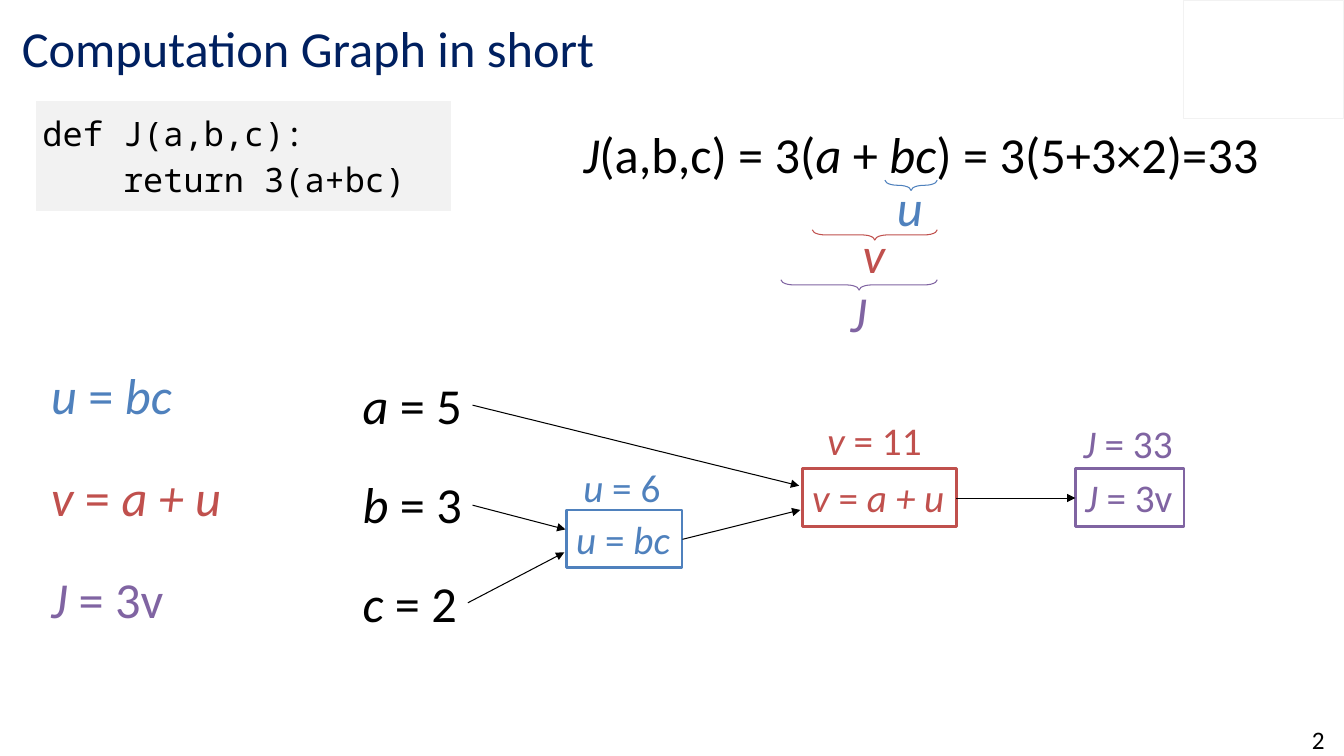
from lxml import etree
from pptx import Presentation
from pptx.dml.color import RGBColor
from pptx.enum.shapes import MSO_CONNECTOR, MSO_SHAPE
from pptx.enum.text import MSO_ANCHOR, PP_ALIGN
from pptx.oxml.ns import qn
from pptx.util import Cm, Pt

RECTANGLE = MSO_SHAPE.RECTANGLE
RIGHT_BRACE = MSO_SHAPE.RIGHT_BRACE
STRAIGHT = MSO_CONNECTOR.STRAIGHT
TOP, MIDDLE = MSO_ANCHOR.TOP, MSO_ANCHOR.MIDDLE
LEFT, CENTER = PP_ALIGN.LEFT, PP_ALIGN.CENTER

BLACK = RGBColor(0x00, 0x00, 0x00)
WHITE = RGBColor(0xFF, 0xFF, 0xFF)
NAVY = RGBColor(0x00, 0x20, 0x60)
LIGHT_GREY = RGBColor(0xF2, 0xF2, 0xF2)
BLUE = RGBColor(0x4F, 0x81, 0xBD)
RED = RGBColor(0xC0, 0x50, 0x4D)
PURPLE = RGBColor(0x80, 0x64, 0xA2)

BODY_FONT = "Calibri"
CODE_FONT = "Noto Sans Mono"
LARGE, MEDIUM = 36, 28
LARGE_HEIGHT, MEDIUM_HEIGHT = 1.8, 1.45
BRACE_RIGHT, BRACE_DEPTH = 23.62, 0.26


def write_text(paragraph, text, size=LARGE, color=BLACK, font=BODY_FONT, align=LEFT):
    paragraph.alignment = align
    for index, part in enumerate(text.split("*")):
        if part:
            run = paragraph.add_run()
            run.text = part
            run.font.name = font
            run.font.size = Pt(size)
            run.font.italic = index % 2 == 1
            run.font.color.rgb = color


def add_text(slide, text, left, top, width, height=LARGE_HEIGHT, wrap=False, anchor=TOP, **text_format):
    box = slide.shapes.add_textbox(Cm(left), Cm(top), Cm(width), Cm(height))
    box.text_frame.word_wrap = wrap
    box.text_frame.vertical_anchor = anchor
    write_text(box.text_frame.paragraphs[0], text, **text_format)


def add_outline(slide, preset, left, top, width, height, color, weight):
    shape = slide.shapes.add_shape(preset, Cm(left), Cm(top), Cm(width), Cm(height))
    shape.shadow.inherit = False
    shape.fill.background()
    shape.line.color.rgb = color
    shape.line.width = Pt(weight)
    return shape


def add_brace(slide, middle, span, color):
    left = BRACE_RIGHT - span / 2 - BRACE_DEPTH / 2
    brace = add_outline(slide, RIGHT_BRACE, left, middle - span / 2, BRACE_DEPTH, span, color, 0.75)
    brace.rotation = 90
    brace.adjustments[0] = 1.25
    brace.adjustments[1] = 0.5


def add_node(slide, text, left, top, width, color):
    node = add_outline(slide, RECTANGLE, left, top, width, MEDIUM_HEIGHT, color, 2)
    node.fill.solid()
    node.fill.fore_color.rgb = WHITE
    node.text_frame.word_wrap = False
    node.text_frame.vertical_anchor = TOP
    write_text(node.text_frame.paragraphs[0], text, size=MEDIUM, color=color)


def add_arrow(slide, start_x, start_y, end_x, end_y):
    arrow = slide.shapes.add_connector(STRAIGHT, Cm(start_x), Cm(start_y), Cm(end_x), Cm(end_y))
    arrow.line.color.rgb = BLACK
    arrow.line.width = Pt(0.75)
    etree.SubElement(arrow.line._get_or_add_ln(), qn("a:tailEnd"), type="triangle")
    etree.SubElement(arrow._element.spPr, qn("a:effectLst"))


def add_code(slide, lines, left, top, width, height):
    table = slide.shapes.add_table(1, 1, Cm(left), Cm(top), Cm(width), Cm(height)).table
    table.first_row = False
    table.horz_banding = False
    cell = table.cell(0, 0)
    cell.fill.solid()
    cell.fill.fore_color.rgb = LIGHT_GREY
    cell.vertical_anchor = MIDDLE
    cell.margin_left = cell.margin_right = Cm(0.18)
    cell.margin_top = cell.margin_bottom = 0
    for index, (text, indent) in enumerate(lines):
        frame = cell.text_frame
        paragraph = frame.add_paragraph() if index else frame.paragraphs[0]
        write_text(paragraph, text, size=24, font=CODE_FONT)
        paragraph._p.get_or_add_pPr().set("marL", str(Cm(indent)))


def main():
    presentation = Presentation()
    presentation.slide_width = Cm(33.87)
    presentation.slide_height = Cm(19.05)
    slide = presentation.slides.add_slide(presentation.slide_layouts[6])

    add_outline(slide, RECTANGLE, 29.82, 0, 4.04, 2.97, LIGHT_GREY, 0.25)
    add_text(slide, "Computation Graph in short", 0.3, 0.25, 26.14, 1.9,
             wrap=True, anchor=MIDDLE, color=NAVY)
    add_text(slide, "2", 32.59, 18.21, 1.27, 0.84,
             wrap=True, anchor=MIDDLE, size=18, align=CENTER)
    add_code(slide, [("def J(a,b,c):", 0), ("return 3(a+bc)", 2.03)], 0.89, 2.54, 10.49, 2.79)

    add_text(slide, "*J*(a,b,c) = 3(*a* + *bc*) = 3(5+3×2)=33", 14.45, 2.97, 17.68)
    for middle, span, color in [(4.67, 1.32, BLUE), (5.92, 3.15, RED), (7.18, 3.94, PURPLE)]:
        add_brace(slide, middle, span, color)
    for text, left, top, width, color in [
        ("*u*", 22.35, 4.32, 1.17, BLUE),
        ("*v*", 21.49, 5.51, 1.09, RED),
        ("*J*", 21.18, 6.99, 0.91, PURPLE),
    ]:
        add_text(slide, text, left, top, width, color=color)

    equations = [("*u *= *bc*", 3.58, BLUE), ("*v *= *a + u*", 4.83, RED), ("*J *= 3v", 3.38, PURPLE)]
    for row, (text, width, color) in enumerate(equations):
        add_text(slide, text, 1.04, 9.04 + 2.58 * row, width, color=color)

    inputs = [("*a *= 5", 3.05), ("*b *= 3", 3.05), ("*c *= 2", 2.92)]
    for row, (text, width) in enumerate(inputs):
        add_text(slide, text, 8.89, 9.3 + 2.5 * row, width)

    nodes = [(14.27, 12.85, 2.92), (20.22, 11.81, 3.89), (27.1, 11.81, 2.74)]
    for (text, _, color), (left, top, width) in zip(equations, nodes):
        add_node(slide, text, left, top, width, color)
    for text, left, top, width, color in [
        ("*u* = 6", 14.45, 11.56, 2.72, BLUE),
        ("*v* = 11", 20.6, 10.36, 2.92, RED),
        ("*J* = 33", 27.05, 10.44, 2.79, PURPLE),
    ]:
        add_text(slide, text, left, top, width, MEDIUM_HEIGHT, size=MEDIUM, color=color)

    for ends in [
        (11.91, 12.73, 14.25, 13.34),
        (11.79, 15.19, 14.22, 13.92),
        (17.2, 13.59, 20.17, 12.85),
        (11.91, 10.21, 20.14, 12.24),
        (24.1, 12.55, 27.1, 12.55),
    ]:
        add_arrow(slide, *ends)

    presentation.save("out.pptx")


if __name__ == "__main__":
    main()
